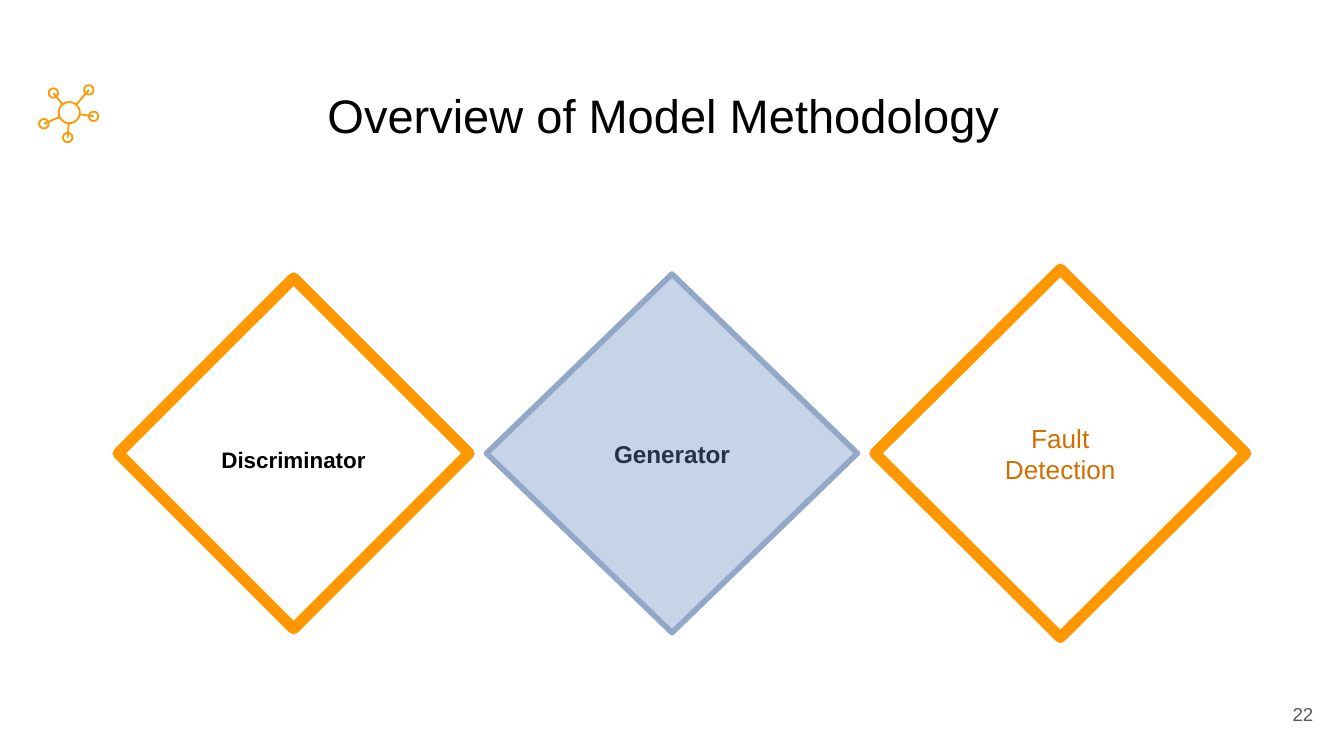
import math

import pptx
import pptx.dml.color
import pptx.enum.shapes
import pptx.enum.text
import pptx.oxml.ns
import pptx.util
from lxml import etree

Cm = pptx.util.Cm
Pt = pptx.util.Pt
SHAPE = pptx.enum.shapes.MSO_SHAPE
ALIGN = pptx.enum.text.PP_ALIGN
ORANGE = "FF9800"


def colour(hex_string):
    return pptx.dml.color.RGBColor.from_string(hex_string)


class SlideBuilder:
    font = "Arial"
    inset = Cm(0.25)

    def __init__(self, slide):
        self.slide = slide

    def label(self, shape, words, size, hex_string, align=ALIGN.LEFT, bold=False, spacing=1.0):
        frame = shape.text_frame
        frame.text = words
        frame.word_wrap = True
        frame.vertical_anchor = pptx.enum.text.MSO_ANCHOR.MIDDLE
        frame.margin_left = frame.margin_right = self.inset
        frame.margin_top = frame.margin_bottom = self.inset
        paragraph = frame.paragraphs[0]
        paragraph.alignment = align
        paragraph.line_spacing = spacing
        font = paragraph.runs[0].font
        font.name, font.size, font.bold = self.font, Pt(size), bold
        font.color.rgb = colour(hex_string)
        return paragraph

    def text(self, left, top, width, height, words, size, hex_string, **style):
        box = self.slide.shapes.add_textbox(Cm(left), Cm(top), Cm(width), Cm(height))
        return self.label(box, words, size, hex_string, **style)

    def centred(self, kind, x, y, width, height, line, weight, fill=None):
        shape = self.slide.shapes.add_shape(
            kind, Cm(x - width / 2), Cm(y - height / 2), Cm(width), Cm(height))
        shape.shadow.inherit = False
        if fill:
            shape.fill.solid()
            shape.fill.fore_color.rgb = colour(fill)
        else:
            shape.fill.background()
        shape.line.color.rgb = colour(line)
        shape.line.width = Pt(weight)
        return shape

    def line(self, x1, y1, x2, y2, hex_string, weight):
        connector = self.slide.shapes.add_connector(
            pptx.enum.shapes.MSO_CONNECTOR.STRAIGHT, Cm(x1), Cm(y1), Cm(x2), Cm(y2))
        connector.line.color.rgb = colour(hex_string)
        connector.line.width = Pt(weight)
        properties = connector._element.spPr
        etree.SubElement(properties, pptx.oxml.ns.qn("a:effectLst"))


def main():
    deck = pptx.Presentation()
    deck.slide_width, deck.slide_height = Cm(25.4), Cm(14.29)
    builder = SlideBuilder(deck.slides.add_slide(deck.slide_layouts[6]))

    # Title, indented from the left edge
    title = builder.text(0.86, 1.29, 23.67, 1.6, "Overview of Model Methodology",
                         25.2, "000000", spacing=1.15)
    indents = title._p.get_or_add_pPr()
    indents.set("marL", str(Cm(3.81)))
    indents.set("indent", str(Cm(1.27)))

    # Slide number
    builder.text(23.55, 12.95, 1.52, 1.09, "22", 10, "595959", align=ALIGN.RIGHT)

    # Three model stages on one centre line
    stages = [
        ("Generator", 12.7, 7.01, 6.78, "92A8C8", 3, "C7D3E6", 13, "263248", True, 1.0),
        ("Discriminator", 5.55, 6.63, 6.63, ORANGE, 6, None, 12, "000000", True, 1.5),
        ("Fault Detection", 20.04, 7.01, 6.96, ORANGE, 6, None, 14, "D26F00", False, 1.0),
    ]
    for name, x, width, height, line, weight, fill, size, ink, bold, spacing in stages:
        stage = builder.centred(SHAPE.DIAMOND, x, 8.57, width, height, line, weight, fill)
        builder.label(stage, name, size, ink, ALIGN.CENTER, bold, spacing)

    # Network icon: a hub with spokes from its rim to each node
    hub_x, hub_y, hub_radius, node_size, weight = 1.31, 2.13, 0.2, 0.18, 0.96
    nodes = [(1.68, 1.7), (1.01, 1.76), (0.83, 2.34), (1.28, 2.6), (1.77, 2.2)]
    builder.centred(SHAPE.OVAL, hub_x, hub_y, 2 * hub_radius, 2 * hub_radius, ORANGE, weight)
    for x, y in nodes:
        builder.centred(SHAPE.OVAL, x, y, node_size, node_size, ORANGE, weight)
        angle = math.atan2(y - hub_y, x - hub_x)
        builder.line(x, y, hub_x + hub_radius * math.cos(angle),
                     hub_y + hub_radius * math.sin(angle), ORANGE, weight)

    deck.save("out.pptx")


if __name__ == "__main__":
    main()
